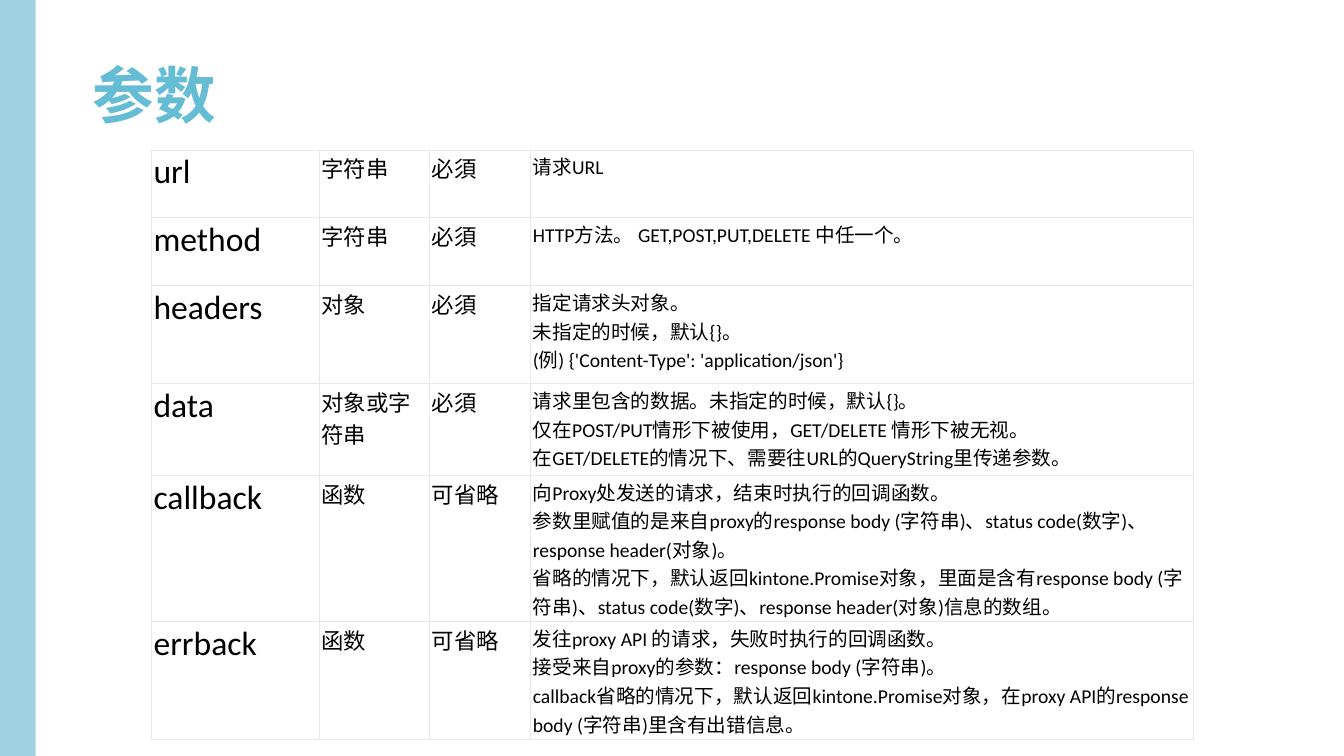
from lxml import etree
from pptx import Presentation
from pptx import util as u
from pptx.dml.color import RGBColor
from pptx.enum import shapes, text
from pptx.oxml import ns

COLORS = {"bar": "9ED2E1", "title": "64BDD4", "text": "000000", "border": "E2EAEC"}
CJK = "Noto Sans CJK SC"


def style(p, size, color, latin="Calibri", bold=False):
    f = p.font
    f.size, f.name, f.bold = u.Pt(size), latin, bold
    f.color.rgb = RGBColor.from_string(COLORS[color])
    ea = etree.Element(ns.qn("a:ea"), typeface=CJK)
    p._p.pPr.find(ns.qn("a:defRPr")).find(ns.qn("a:latin")).addnext(ea)


def add_borders(cell):
    tcPr = cell._tc.get_or_add_tcPr()
    for side in ("lnL", "lnR", "lnT", "lnB"):
        ln = etree.SubElement(tcPr, ns.qn(f"a:{side}"), w=str(u.Pt(0.75)))
        fill = etree.SubElement(ln, ns.qn("a:solidFill"))
        etree.SubElement(fill, ns.qn("a:srgbClr"), val=COLORS["border"])


prs = Presentation()
prs.slide_width, prs.slide_height = u.Cm(33.87), u.Cm(19.05)
s = prs.slides.add_slide(prs.slide_layouts[6])

# Left colour bar
bar = s.shapes.add_shape(shapes.MSO_SHAPE.RECTANGLE, 0, 0, u.Cm(0.9), prs.slide_height)
bar.shadow.inherit = False
bar.fill.solid()
bar.fill.fore_color.rgb = RGBColor.from_string(COLORS["bar"])
bar.line.fill.background()

# Title
sp = s.shapes.add_textbox(u.Cm(2.08), u.Cm(0.64), u.Cm(29.21), u.Cm(3.68))
tf = sp.text_frame
tf.word_wrap = True
tf.vertical_anchor = text.MSO_ANCHOR.MIDDLE
p = tf.paragraphs[0]
p.text = "参数"
p.line_spacing = 0.9
style(p, 44, "title", CJK, True)

# Parameter table: name, type, required, description
rows = [
    ("url", "字符串", "必須", "请求URL"),
    ("method", "字符串", "必須", "HTTP方法。 GET,POST,PUT,DELETE 中任一个。"),
    ("headers", "对象", "必須",
     "指定请求头对象。\n未指定的时候，默认{}。\n"
     "(例) {'Content-Type': 'application/json'}"),
    ("data", "对象或字符串", "必須",
     "请求里包含的数据。未指定的时候，默认{}。\n"
     "仅在POST/PUT情形下被使用，GET/DELETE 情形下被无视。\n"
     "在GET/DELETE的情况下、需要往URL的QueryString里传递参数。"),
    ("callback", "函数", "可省略",
     "向Proxy处发送的请求，结束时执行的回调函数。\n"
     "参数里赋值的是来自proxy的response body (字符串)、status code(数字)、"
     "response header(对象)。\n"
     "省略的情况下，默认返回kintone.Promise对象，里面是含有response body (字符串)、"
     "status code(数字)、response header(对象)信息的数组。"),
    ("errback", "函数", "可省略",
     "发往proxy API 的请求，失败时执行的回调函数。\n"
     "接受来自proxy的参数：response body (字符串)。\n"
     "callback省略的情况下，默认返回kintone.Promise对象，在proxy API的"
     "response body (字符串)里含有出错信息。"),
]
widths = [4.23, 2.78, 2.55, 16.69]
heights = [1.71, 1.71, 2.47, 2.31, 3.68, 2.97]
sizes = [24, 16, 16, 14]

table = s.shapes.add_table(len(rows), len(widths), u.Cm(3.82), u.Cm(3.78),
                           u.Cm(sum(widths)), u.Cm(sum(heights))).table
table.first_row = table.horz_banding = False
for column, width in zip(table.columns, widths):
    column.width = u.Cm(width)

for row, height, values in zip(table.rows, heights, rows):
    row.height = u.Cm(height)
    for cell, value, size in zip(row.cells, values, sizes):
        cell.margin_left = cell.margin_right = u.Cm(0.05)
        cell.margin_top = cell.margin_bottom = u.Cm(0.05)
        add_borders(cell)
        cell.fill.background()
        p = cell.text_frame.paragraphs[0]
        p.text = value
        style(p, size, "text")

prs.save("out.pptx")
